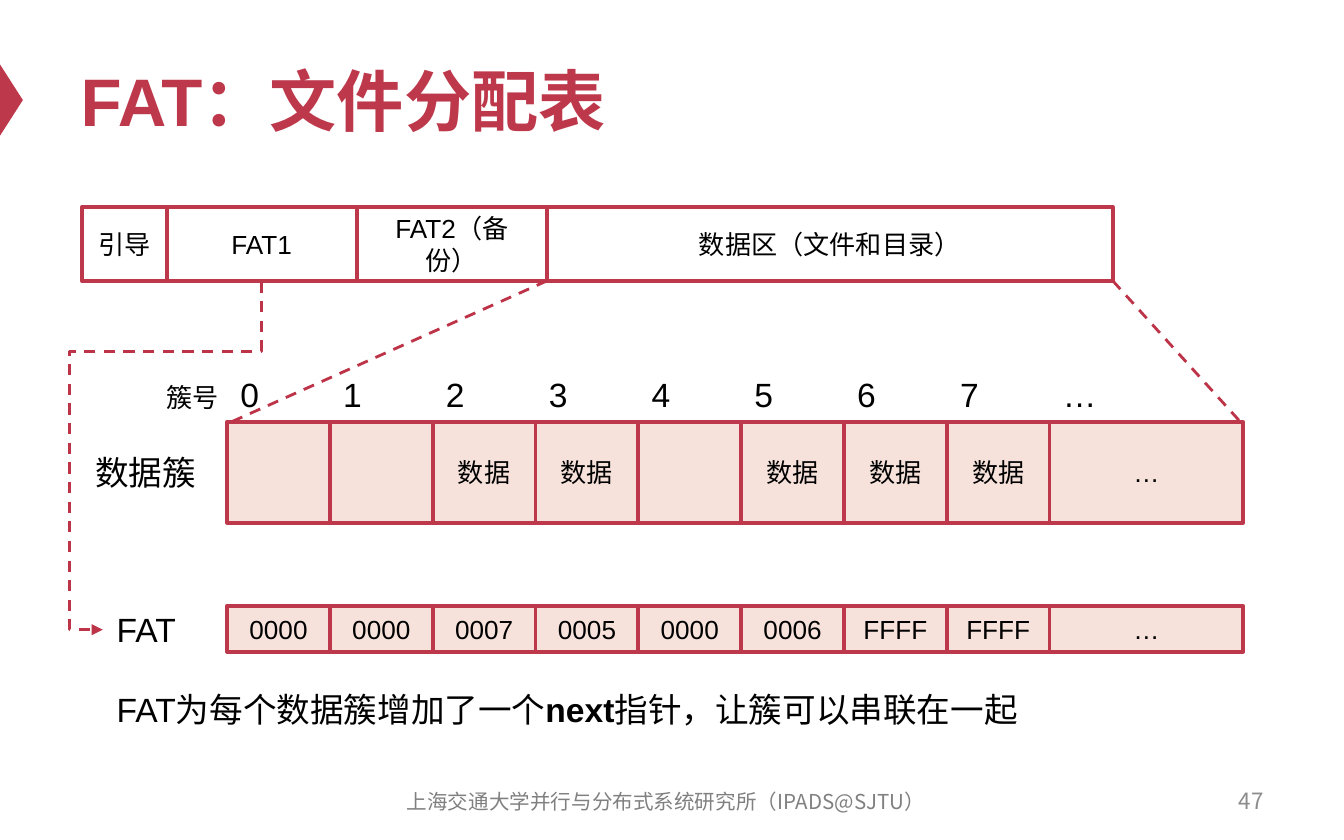
import dataclasses
import itertools
import typing
import lxml.etree
import pptx
import pptx.dml.color
import pptx.enum.dml
import pptx.enum.shapes
import pptx.enum.text
import pptx.oxml.ns
import pptx.util

RED = pptx.dml.color.RGBColor(0xBE, 0x38, 0x4B)
DASH = pptx.dml.color.RGBColor(0xBD, 0x33, 0x47)
PINK = pptx.dml.color.RGBColor(0xF7, 0xE2, 0xDB)
WHITE = pptx.dml.color.RGBColor(0xFF, 0xFF, 0xFF)
BLACK = pptx.dml.color.RGBColor(0, 0, 0)
GREY = pptx.dml.color.RGBColor(0x80, 0x80, 0x80)
PALE = pptx.dml.color.RGBColor(0x8C, 0x8C, 0x8C)
LATIN, HAN = "Arial", "Noto Sans CJK SC"
ALIGN = pptx.enum.text.PP_ALIGN
MID = pptx.enum.text.MSO_ANCHOR.MIDDLE
TOP = pptx.enum.text.MSO_ANCHOR.TOP
KIND = pptx.enum.shapes.MSO_SHAPE
LINK = pptx.enum.shapes.MSO_CONNECTOR
COLS, ROWS = 100, 62.5
LEFT, STEP, LAST = 16.9, 7.65, 14.4


@dataclasses.dataclass
class Box:
    col: float
    row: float
    wide: float
    high: float


@dataclasses.dataclass
class Label:
    text: str
    box: Box
    size: int = 18
    color: pptx.dml.color.RGBColor = BLACK
    face: str = LATIN
    align: typing.Any = ALIGN.LEFT
    grow: bool = True


@dataclasses.dataclass
class Band:
    row: float
    high: float
    fill: pptx.dml.color.RGBColor
    left: float
    widths: list[float]
    texts: list[str]


deck = pptx.Presentation()
deck.slide_width = pptx.util.Inches(10)
deck.slide_height = pptx.util.Inches(6.25)
slide = deck.slides.add_slide(deck.slide_layouts[5])
shapes = slide.shapes


def across(col: float) -> int:
    return round(deck.slide_width * col / COLS)


def down(row: float) -> int:
    return round(deck.slide_height * row / ROWS)


def place(box: Box) -> tuple[int, int, int, int]:
    return across(box.col), down(box.row), across(box.wide), down(box.high)


def assign(thing: typing.Any, values: dict) -> None:
    for name, value in values.items():
        setattr(thing, name, value)


def node(parent: typing.Any, tag: str, **values: str) -> typing.Any:
    return lxml.etree.SubElement(parent, pptx.oxml.ns.qn(tag), **values)


def write(frame: typing.Any, text: str, size: int, color: typing.Any = BLACK,
          face: str = LATIN, align: typing.Any = ALIGN.CENTER,
          bold: bool = False) -> None:
    para = frame.paragraphs[0]
    para.alignment = align
    run = para.add_run()
    run.text = text
    assign(run.font, {"size": pptx.util.Pt(size), "bold": bold, "name": face})
    run.font.color.rgb = color
    node(run.font._element, "a:ea", typeface=HAN)


def draw_label(item: Label) -> typing.Any:
    frame = shapes.add_textbox(*place(item.box)).text_frame
    fit = pptx.enum.text.MSO_AUTO_SIZE
    assign(frame, {
        "word_wrap": not item.grow,
        "auto_size": fit.SHAPE_TO_FIT_TEXT if item.grow else fit.NONE,
        "vertical_anchor": TOP if item.grow else MID,
    })
    write(frame, item.text, item.size, item.color, item.face, item.align)
    return frame


def draw_band(band: Band) -> None:
    starts = itertools.accumulate(band.widths, initial=band.left)
    for col, wide, text in zip(starts, band.widths, band.texts):
        box = Box(col, band.row, wide, band.high)
        cell = shapes.add_shape(KIND.RECTANGLE, *place(box))
        cell.shadow.inherit = False
        cell.fill.solid()
        cell.fill.fore_color.rgb = band.fill
        cell.line.color.rgb = RED
        cell.line.width = pptx.util.Pt(2)
        cell.text_frame.vertical_anchor = MID
        if text:
            write(cell.text_frame, text, 14)


def draw_link(kind: typing.Any, col: float, row: float,
              end: float, foot: float) -> typing.Any:
    link = shapes.add_connector(kind, across(col), down(row), across(end), down(foot))
    link.line.color.rgb = DASH
    assign(link.line, {"width": pptx.util.Pt(1.5),
                       "dash_style": pptx.enum.dml.MSO_LINE.DASH})
    node(link._element.spPr, "a:effectLst")
    return link


def draw_elbow() -> None:
    link = draw_link(LINK.ELBOW, 0.6, 28, 26.5, 39.8)
    props = link._element.spPr
    props.find(pptx.oxml.ns.qn("a:xfrm")).set("rot", "5400000")
    shape = props.find(pptx.oxml.ns.qn("a:prstGeom"))
    shape.set("prst", "bentConnector4")
    for old in list(shape):
        shape.remove(old)
    guides = node(shape, "a:avLst")
    for name, value in (("adj1", 20000), ("adj2", 121200)):
        node(guides, "a:gd", name=name, fmla=f"val {value}")
    node(props.find(pptx.oxml.ns.qn("a:ln")), "a:tailEnd", type="triangle")


def main() -> None:
    mark = shapes.add_shape(KIND.ISOSCELES_TRIANGLE, *place(Box(-1.8, 6.6, 5.3, 1.7)))
    mark.rotation = 90
    mark.shadow.inherit = False
    mark.fill.solid()
    mark.fill.fore_color.rgb = RED
    mark.line.fill.background()

    title = shapes.title
    spot = place(Box(5, 2.5, 90, 9.8))
    assign(title, dict(zip(("left", "top", "width", "height"), spot)))
    title.text_frame.vertical_anchor = MID
    write(title.text_frame, "FAT：文件分配表", 36, RED, align=ALIGN.LEFT, bold=True)

    grid = [STEP] * 8 + [LAST]
    data = "数据"
    for band in (
        Band(15.4, 5.5, WHITE, 6.1, [6.3, 14.15, 14.15, 42.1],
             ["引导", "FAT1", "FAT2（备份）", "数据区（文件和目录）"]),
        Band(45.1, 3.4, PINK, LEFT, grid,
             ["0000", "0000", "0007", "0005", "0000", "0006", "FFFF", "FFFF", "…"]),
        Band(31.4, 7.5, PINK, LEFT, grid,
             ["", "", data, data, "", data, data, data, "…"]),
    ):
        draw_band(band)

    for end in ((40.7, 20.9, 17.2, 31.4), (82.8, 20.9, 92.3, 31.4)):
        draw_link(LINK.STRAIGHT, *end)
    draw_elbow()

    for index, text in enumerate("01234567…"):
        wide = 4.5 if text == "…" else 3.4
        draw_label(Label(text, Box(LEFT + index * STEP, 27.3, wide, 4)))
    for item in (
        Label("簇号", Box(11.4, 27.9, 5.9, 3.4), 14),
        Label("数据簇", Box(6.1, 33.1, 9.6, 4)),
        Label("FAT", Box(7.7, 44.8, 6.5, 4)),
        Label("47", Box(71.7, 57.9, 23.3, 3.3), 12, PALE, HAN, ALIGN.RIGHT, False),
        Label("上海交通大学并行与分布式系统研究所（IPADS@SJTU）",
              Box(27.9, 58, 43.3, 3.3), 11, GREY, HAN, ALIGN.CENTER, False),
    ):
        draw_label(item)
    note = draw_label(Label("FAT为每个数据簇增加了一个", Box(7.7, 50.8, 71.8, 4)))
    write(note, "next", 18, align=ALIGN.LEFT, bold=True)
    write(note, "指针，让簇可以串联在一起", 18, align=ALIGN.LEFT)

    deck.save("out.pptx")


if __name__ == "__main__":
    main()
